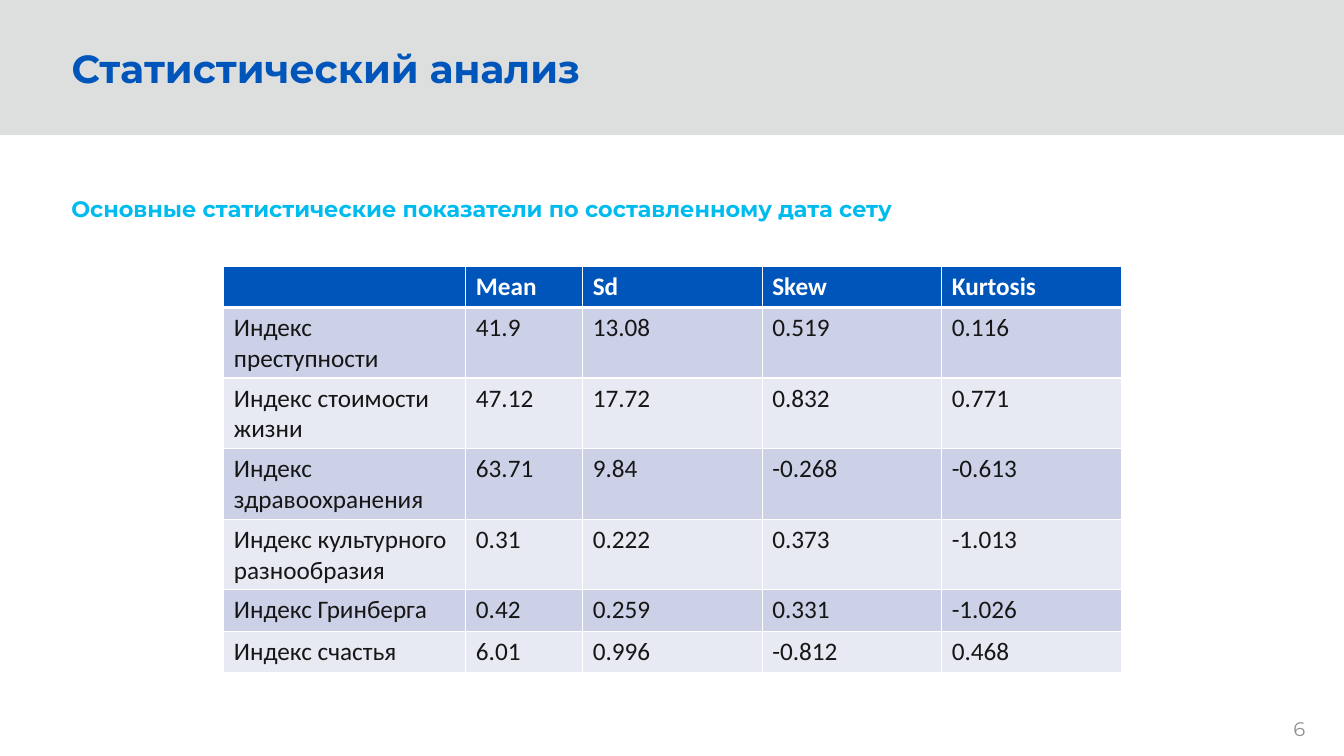
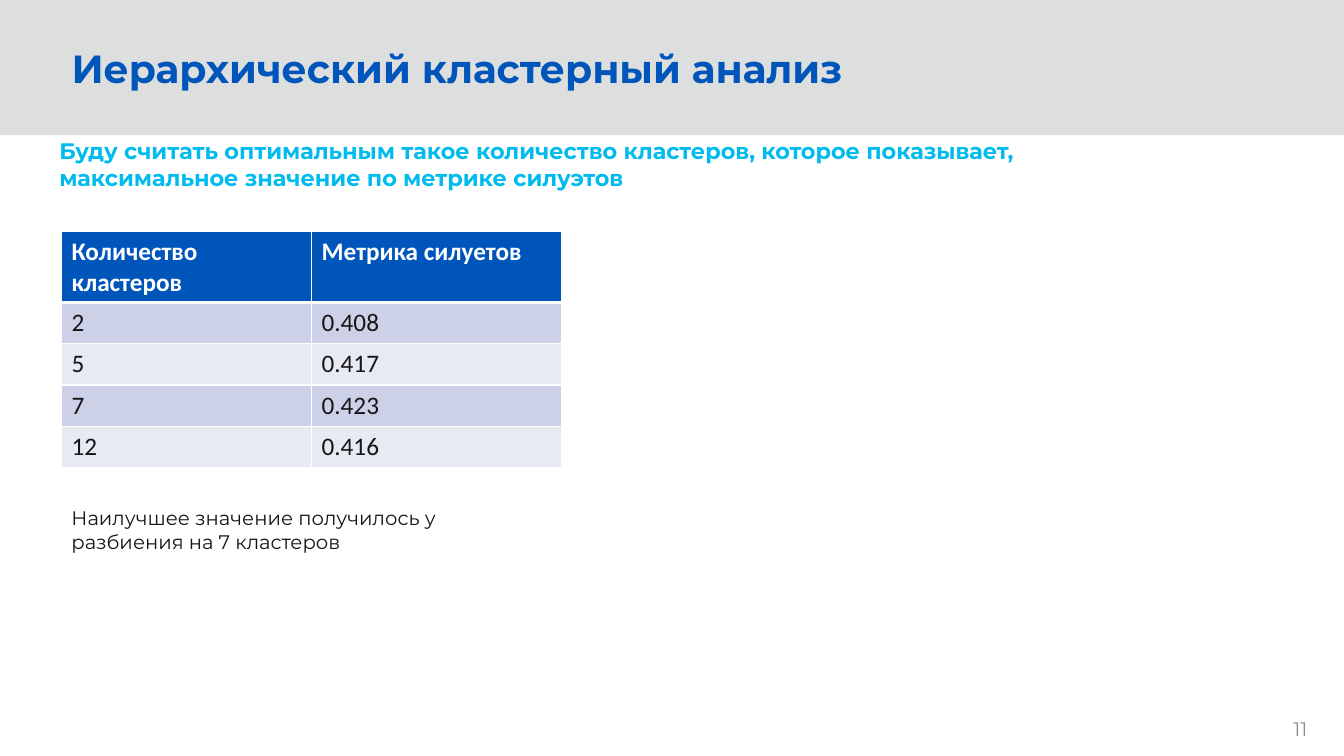
from dataclasses import dataclass

from lxml import etree
from pptx import Presentation
from pptx.dml.color import RGBColor
from pptx.enum.shapes import MSO_SHAPE
from pptx.enum.text import MSO_ANCHOR, MSO_AUTO_SIZE, PP_ALIGN
from pptx.oxml.ns import qn
from pptx.util import Inches, Pt

RECTANGLE = MSO_SHAPE.RECTANGLE
TOP, MIDDLE = MSO_ANCHOR.TOP, MSO_ANCHOR.MIDDLE
LEFT = PP_ALIGN.LEFT
NO_AUTOFIT = MSO_AUTO_SIZE.NONE


@dataclass(frozen=True)
class Theme:
    blue: str = "0055BB"
    cyan: str = "00BBEE"
    ink: str = "171616"
    gray: str = "8F9092"
    white: str = "FFFFFF"
    band: str = "DDDEDE"
    stripes: tuple = ("CCD1E7", "E7E9F3")
    font: str = "Montserrat"
    table_font: str = "Calibri"
    title_size: int = 28
    table_size: int = 18
    subtitle_size: int = 16
    small_size: int = 14
    grid_line: int = 1
    header_line: int = 3


THEME = Theme()
SLIDE_WIDTH, SLIDE_HEIGHT = 13.33, 7.5
BAND_HEIGHT = 1.34
TITLE_BOX = (0.61, 0.39, 9.88, 0.57)
NUMBER_BOX = (12.73, 7.06, 0.45, 0.34)
ROW_HEIGHT = 0.41

SLIDES = [
    {
        "number": 6,
        "title": "Статистический анализ",
        "subtitle": "Основные статистические показатели по составленному дата сету",
        "subtitle_box": (0.61, 1.89, 10, 0.34),
        "table_at": (2.22, 2.64),
        "columns": [2.4, 1.16, 1.78, 1.78, 1.78],
        "rows": [
            ("", "Mean", "Sd", "Skew", "Kurtosis"),
            ("Индекс преступности", "41.9", "13.08", "0.519", "0.116"),
            ("Индекс стоимости жизни", "47.12", "17.72", "0.832", "0.771"),
            ("Индекс здравоохранения", "63.71", "9.84", "-0.268", "-0.613"),
            ("Индекс культурного разнообразия", "0.31", "0.222", "0.373", "-1.013"),
            ("Индекс Гринберга", "0.42", "0.259", "0.331", "-1.026"),
            ("Индекс счастья", "6.01", "0.996", "-0.812", "0.468"),
        ],
    },
    {
        "number": 11,
        "title": "Иерархический кластерный анализ",
        "subtitle": "Буду считать оптимальным такое количество кластеров, которое "
                    "показывает, максимальное значение по метрике силуэтов",
        "subtitle_box": (0.49, 1.31, 10.13, 0.64),
        "table_at": (0.61, 2.3),
        "columns": [2.48, 2.48],
        "rows": [
            ("Количество кластеров", "Метрика силуетов"),
            ("2", "0.408"),
            ("5", "0.417"),
            ("7", "0.423"),
            ("12", "0.416"),
        ],
        "conclusion": "Наилучшее значение получилось у разбиения на 7 кластеров",
        "conclusion_box": (0.61, 4.97, 4.49, 0.57),
    },
]


def write(frame, text, *, size, color, font=THEME.font, bold=False):
    paragraph = frame.paragraphs[0]
    paragraph.alignment = LEFT
    run = paragraph.add_run()
    run.text = text
    run.font.name = font
    run.font.size = Pt(size)
    run.font.bold = bold
    run.font.color.rgb = RGBColor.from_string(color)


def add_label(slide, box, text, **style):
    frame = slide.shapes.add_textbox(*map(Inches, box)).text_frame
    frame.word_wrap = True
    frame.vertical_anchor = TOP
    write(frame, text, **style)


def add_band(slide):
    """Put the header band on the slide's layout, behind every title."""
    band = slide.shapes.add_shape(
        RECTANGLE, 0, 0, Inches(SLIDE_WIDTH), Inches(BAND_HEIGHT))
    band.shadow.inherit = False
    band.fill.solid()
    band.fill.fore_color.rgb = RGBColor.from_string(THEME.band)
    band.line.fill.background()
    slide.slide_layout.shapes._spTree.insert(2, band._element)


def add_title(slide, text):
    title = slide.shapes.title
    title.left, title.top, title.width, title.height = map(Inches, TITLE_BOX)
    title.text_frame.word_wrap = True
    title.text_frame.auto_size = NO_AUTOFIT
    title.text_frame.vertical_anchor = MIDDLE
    write(title.text_frame, text, size=THEME.title_size, color=THEME.blue, bold=True)


def set_borders(cell, widths):
    """Draw white borders; widths maps L, R, T and B to points, in that order."""
    properties = cell._tc.get_or_add_tcPr()
    for side, width in widths.items():
        line = etree.SubElement(properties, qn(f"a:ln{side}"), w=str(Pt(width)))
        fill = etree.SubElement(line, qn("a:solidFill"))
        etree.SubElement(fill, qn("a:srgbClr"), val=THEME.white)


def add_data_table(slide, at, columns, rows):
    size = (sum(columns), ROW_HEIGHT * len(rows))
    table = slide.shapes.add_table(
        len(rows), len(columns), *map(Inches, at + size)).table
    for column, width in zip(table.columns, columns):
        column.width = Inches(width)
    for r, values in enumerate(rows):
        table.rows[r].height = Inches(ROW_HEIGHT)
        header = r == 0
        background = THEME.blue if header else THEME.stripes[(r - 1) % 2]
        widths = dict.fromkeys("LRTB", THEME.grid_line)
        if header:
            widths["B"] = THEME.header_line
        elif r == 1:
            widths["T"] = THEME.header_line
        for c, value in enumerate(values):
            cell = table.cell(r, c)
            set_borders(cell, widths)
            cell.fill.solid()
            cell.fill.fore_color.rgb = RGBColor.from_string(background)
            write(cell.text_frame, value, size=THEME.table_size,
                  color=THEME.white if header else THEME.ink,
                  font=THEME.table_font, bold=header)


def build_slide(deck, layout, content):
    slide = deck.slides.add_slide(layout)
    add_title(slide, content["title"])
    add_label(slide, content["subtitle_box"], content["subtitle"],
              size=THEME.subtitle_size, color=THEME.cyan, bold=True)
    add_data_table(slide, content["table_at"], content["columns"], content["rows"])
    if "conclusion" in content:
        add_label(slide, content["conclusion_box"], content["conclusion"],
                  size=THEME.small_size, color=THEME.ink)
    add_label(slide, NUMBER_BOX, str(content["number"]),
              size=THEME.small_size, color=THEME.gray)
    return slide


def main():
    deck = Presentation()
    deck.slide_width, deck.slide_height = Inches(SLIDE_WIDTH), Inches(SLIDE_HEIGHT)
    title_only = deck.slide_layouts[5]
    slides = [build_slide(deck, title_only, content) for content in SLIDES]
    add_band(slides[0])
    deck.save("out.pptx")


if __name__ == "__main__":
    main()
